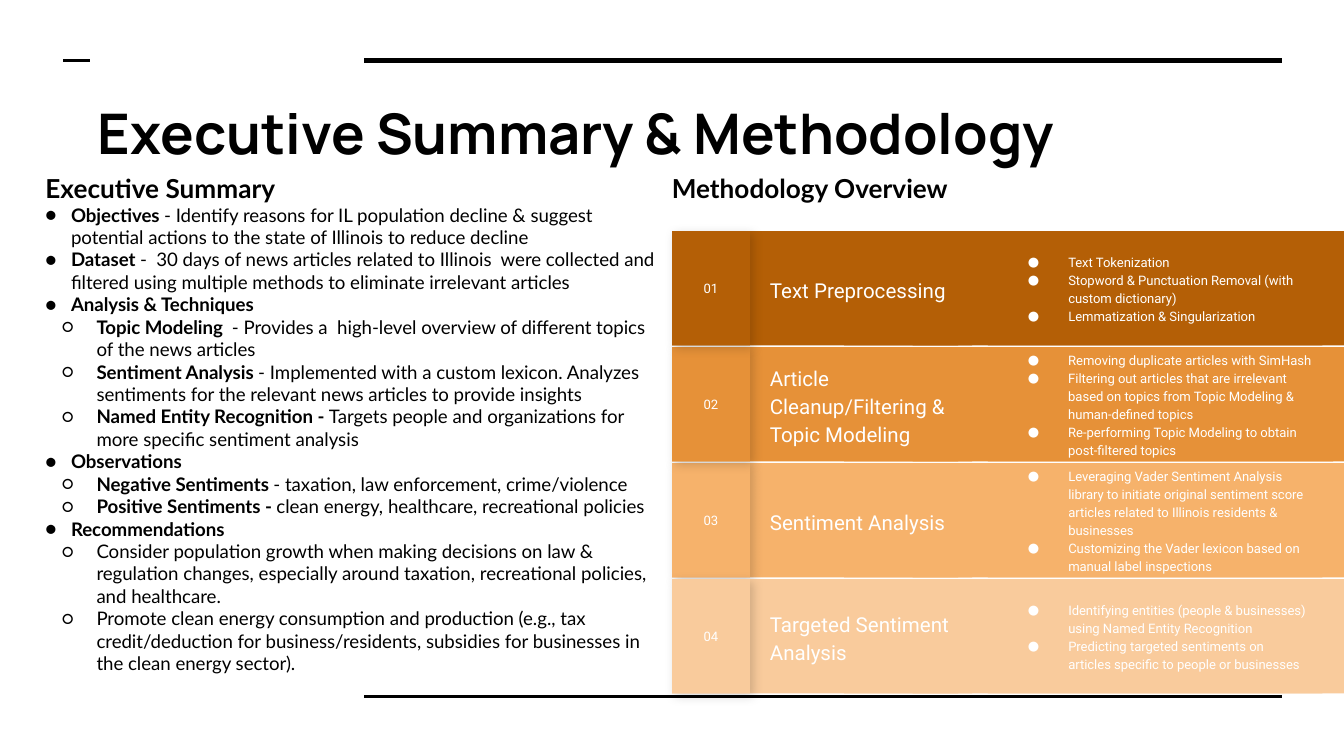
from dataclasses import dataclass
from lxml.etree import SubElement
from pptx import Presentation
from pptx.dml.color import RGBColor
from pptx.enum.shapes import MSO_CONNECTOR, MSO_SHAPE
from pptx.enum.text import MSO_ANCHOR, PP_ALIGN
from pptx.oxml.ns import qn
from pptx.util import Inches, Pt


@dataclass(frozen=True)
class Theme:
    ink: str = "000000"
    light: str = "FFFFFF"
    title_font: str = "Manrope"
    summary_font: str = "Lato"
    step_font: str = "Roboto"
    title_size: int = 30
    heading_size: int = 14
    summary_size: int = 10
    step_size: int = 11
    detail_size: int = 7


THEME = Theme()

TITLE = "Executive Summary & Methodology"
SUMMARY_HEADING = "Executive Summary"
METHOD_HEADING = "Methodology Overview"
SUMMARY = [
    (0, "Objectives ", "- Identify reasons for IL population decline & suggest potential actions to the state of Illinois to reduce decline"),
    (0, "Dataset ", "-  30 days of news articles related to Illinois  were collected and filtered using multiple methods to eliminate irrelevant articles"),
    (0, "Analysis & Techniques", ""),
    (1, "Topic Modeling  ", "- Provides a  high-level overview of different topics of the news articles"),
    (1, "Sentiment Analysis ", "- Implemented with a custom lexicon. Analyzes sentiments for the relevant news articles to provide insights"),
    (1, "Named Entity Recognition - ", "Targets people and organizations for more specific sentiment analysis"),
    (0, "Observations", ""),
    (1, "Negative Sentiments ", "- taxation, law enforcement, crime/violence"),
    (1, "Positive Sentiments - ", "clean energy, healthcare, recreational policies"),
    (0, "Recommendations", ""),
    (1, "", "Consider population growth when making decisions on law & regulation changes, especially around taxation, recreational policies, and healthcare."),
    (1, "", "Promote clean energy consumption and production (e.g., tax credit/deduction for business/residents, subsidies for businesses in the clean energy sector)."),
]
STEPS = [
    ("Text Preprocessing", "B45F06", 2.49, [
        "Text Tokenization",
        "Stopword & Punctuation Removal (with custom dictionary)",
        "Lemmatization & Singularization"]),
    ("Article Cleanup/Filtering & Topic Modeling", "E69138", 2.57, [
        "Removing duplicate articles with SimHash",
        "Filtering out articles that are irrelevant based on topics from Topic Modeling & human-defined topics",
        "Re-performing Topic Modeling to obtain post-filtered topics"]),
    ("Sentiment Analysis", "F6B26B", 2.49, [
        "Leveraging Vader Sentiment Analysis library to initiate original sentiment score articles related to Illinois residents & businesses",
        "Customizing the Vader lexicon based on manual label inspections"]),
    ("Targeted Sentiment Analysis", "F9CB9C", 2.49, [
        "Identifying entities (people & businesses) using Named Entity Recognition",
        "Predicting targeted sentiments on articles specific to people or businesses"]),
]
STACKING = (2, 1, 0, 3)
RULES = [(2.71, 9.54, 0.45, 3), (2.71, 9.54, 5.18, 1.5), (0.47, 0.67, 0.45, 1.5)]

SLIDE_WIDTH = Inches(10)
SLIDE_HEIGHT = SLIDE_WIDTH * 9 // 16
FIRST_TOP, LAST_TOP = 1.72, 4.31
ROW_PITCH = (LAST_TOP - FIRST_TOP) / (len(STEPS) - 1)
ROW_HEIGHT = 0.85
POINTER_WIDTH, POINTER_HEIGHT = 0.85, 1.19


def add_run(paragraph, text, font, size, color, bold=False):
    run = paragraph.add_run()
    run.text = text
    run.font.name = font
    run.font.size = Pt(size)
    run.font.bold = bold
    run.font.color.rgb = RGBColor.from_string(color)


def add_bullet(paragraph, mark, left, hanging, color, font):
    properties = paragraph._p.get_or_add_pPr()
    properties.set("marL", str(Inches(left)))
    properties.set("indent", str(-Inches(hanging)))
    bullet_color = SubElement(properties, qn("a:buClr"))
    SubElement(bullet_color, qn("a:srgbClr"), val=color)
    SubElement(properties, qn("a:buFont"), typeface=font)
    SubElement(properties, qn("a:buChar"), char=mark)


def prepare_frame(shape, anchor):
    frame = shape.text_frame
    frame.word_wrap = True
    frame.vertical_anchor = anchor
    frame.margin_left = frame.margin_right = Inches(0.1)
    frame.margin_top = frame.margin_bottom = Inches(0.1)
    return frame


def add_heading(slide, text, box, font, size):
    frame = prepare_frame(slide.shapes.add_textbox(*map(Inches, box)), MSO_ANCHOR.TOP)
    add_run(frame.paragraphs[0], text, font, size, THEME.ink, True)
    return frame


def add_rule(slide, left, right, y, weight):
    rule = slide.shapes.add_connector(
        MSO_CONNECTOR.STRAIGHT, Inches(left), Inches(y), Inches(right), Inches(y))
    rule.line.color.rgb = RGBColor.from_string(THEME.ink)
    rule.line.width = Pt(weight)
    SubElement(rule._element.spPr, qn("a:effectLst"))


def add_block(row, preset, box, color):
    block = row.shapes.add_shape(preset, *map(Inches, box))
    block.shadow.inherit = False
    block.fill.solid()
    block.fill.fore_color.rgb = RGBColor.from_string(color)
    block.line.fill.background()
    return block


def cast_shadow(block):
    effects = block._element.spPr.find(qn("a:effectLst"))
    shadow = SubElement(effects, qn("a:outerShdw"), blurRad=str(Pt(5.6)),
                        dist=str(Pt(2.2)), dir=str(45 * 60000), rotWithShape="0")
    shade = SubElement(shadow, qn("a:srgbClr"), val=THEME.ink)
    SubElement(shade, qn("a:alpha"), val="17000")


def write_block(block, lines, size, align=PP_ALIGN.LEFT, spacing=1.15, bulleted=False):
    frame = prepare_frame(block, MSO_ANCHOR.MIDDLE)
    for index, line in enumerate(lines):
        paragraph = frame.add_paragraph() if index else frame.paragraphs[0]
        if bulleted:
            add_bullet(paragraph, "●", 0.5, 0.3, THEME.light, THEME.step_font)
        paragraph.alignment = align
        paragraph.line_spacing = spacing
        add_run(paragraph, line, THEME.step_font, size, THEME.light)


def add_step(slide, index):
    name, color, detail_width, details = STEPS[index]
    top = FIRST_TOP + index * ROW_PITCH
    row = slide.shapes.add_group_shape()

    def band(left, width, inset=0):
        box = (left, top + inset, width, ROW_HEIGHT - 2 * inset)
        return add_block(row, MSO_SHAPE.RECTANGLE, box, color)

    band(6.79, 3.21)
    band(5.58, 1.55)
    pointer_top = top + (ROW_HEIGHT - POINTER_HEIGHT) / 2
    pointer = add_block(row, MSO_SHAPE.FLOWCHART_OFFPAGE_CONNECTOR,
                        (6.45, pointer_top, POINTER_WIDTH, POINTER_HEIGHT), color)
    pointer.rotation = 270
    write_block(band(5.63, 1.63, 0.1), [name], THEME.step_size)
    cast_shadow(band(5, 0.58))
    write_block(band(5, 0.58), [f"{index + 1:02}"], THEME.detail_size, PP_ALIGN.CENTER, 1.0)
    write_block(band(7.35, detail_width), details, THEME.detail_size, bulleted=True)


def main():
    deck = Presentation()
    deck.slide_width, deck.slide_height = SLIDE_WIDTH, SLIDE_HEIGHT
    slide = deck.slides.add_slide(deck.slide_layouts[6])

    for rule in RULES:
        add_rule(slide, *rule)
    add_heading(slide, TITLE, (0.63, 0.63, 8.91, 0.69), THEME.title_font, THEME.title_size)
    summary = add_heading(slide, SUMMARY_HEADING, (0.24, 1.18, 4.74, 4.13),
                          THEME.summary_font, THEME.heading_size)
    for level, lead, body in SUMMARY:
        paragraph = summary.add_paragraph()
        paragraph.level = level
        add_bullet(paragraph, "●○"[level], 0.19 * (level + 1), 0.26, THEME.ink, THEME.summary_font)
        for text, bold in ((lead, True), (body, False)):
            if text:
                add_run(paragraph, text, THEME.summary_font, THEME.summary_size, THEME.ink, bold)
    for index in STACKING:
        add_step(slide, index)
    add_heading(slide, METHOD_HEADING, (4.9, 1.18, 5.52, 0.64),
                THEME.summary_font, THEME.heading_size)
    deck.save("out.pptx")


if __name__ == "__main__":
    main()
